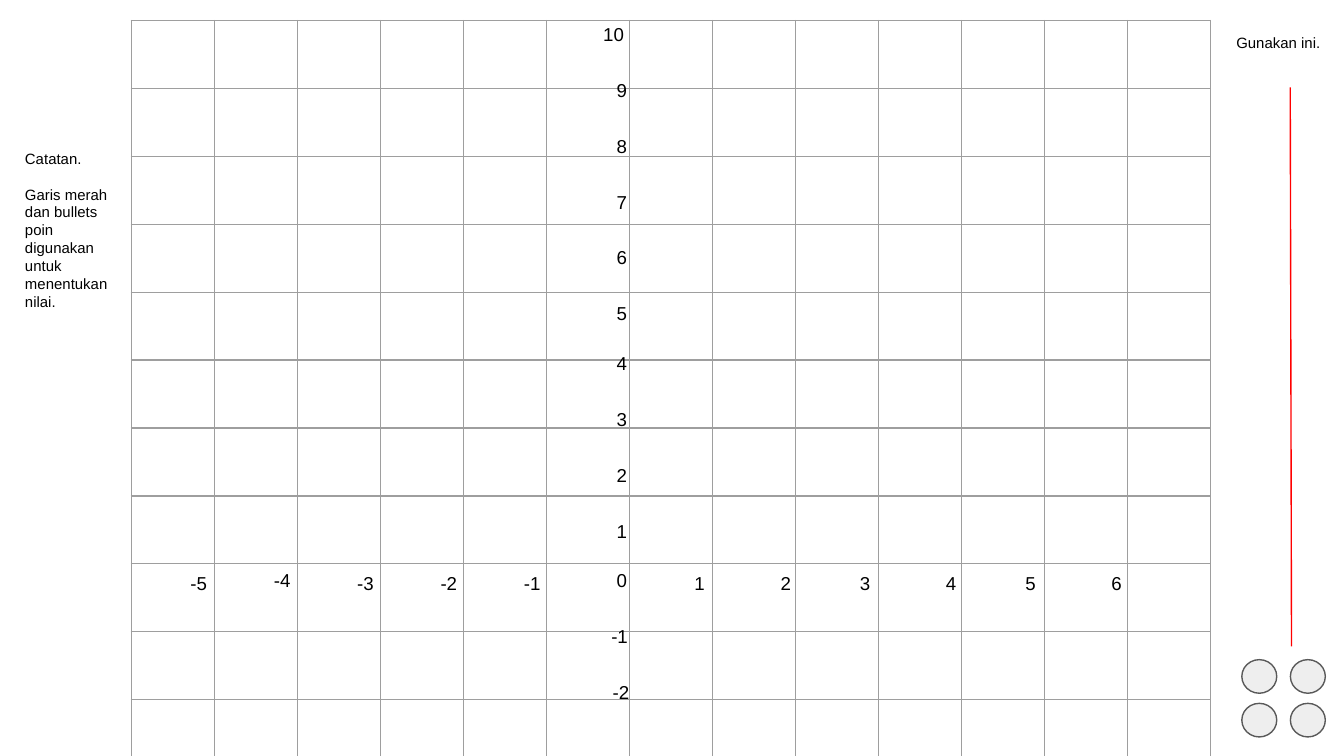
import dataclasses
import itertools

import lxml.etree
import pptx
import pptx.dml.color
import pptx.enum.shapes
import pptx.enum.text
import pptx.oxml.ns
import pptx.util

Pt = pptx.util.Pt
BLACK, GRID_GRAY, RED = "000000", "9E9E9E", "FF0000"
MARKER_FILL, MARKER_LINE = "EEEEEE", "595959"
GRID_SIZE = 13
COLUMN_WIDTH, ROW_HEIGHT = 44.5, 24
INSET = 7.2
LABEL_SIZE = 26.6
AXIS_TOP = 300.2


@dataclasses.dataclass
class Label:
    lines: list[str]
    left: float
    top: float
    width: float = LABEL_SIZE
    height: float = LABEL_SIZE
    size: float = 10
    grows: bool = True


def color(value: str) -> pptx.dml.color.RGBColor:
    return pptx.dml.color.RGBColor.from_string(value)


def apply_format(target, values: dict) -> None:
    for name, value in values.items():
        setattr(target, name, value)


def margins() -> dict:
    return {f"margin_{side}": Pt(INSET) for side in ("left", "right", "top", "bottom")}


def draw_label(page, label: Label) -> None:
    box = page.shapes.add_textbox(
        Pt(label.left), Pt(label.top), Pt(label.width), Pt(label.height)
    )
    frame = box.text_frame
    fit = pptx.enum.text.MSO_AUTO_SIZE
    auto_size = fit.SHAPE_TO_FIT_TEXT if label.grows else fit.NONE
    apply_format(frame, margins() | {"word_wrap": True, "auto_size": auto_size})
    for index, line in enumerate(label.lines):
        para = frame.add_paragraph() if index else frame.paragraphs[0]
        if index:
            para.space_before = Pt(9.5)
        span = para.add_run()
        span.text = line
        apply_format(span.font, {"name": "Arial", "size": Pt(label.size)})
        span.font.color.rgb = color(BLACK)


def format_cell(cell) -> None:
    apply_format(cell, margins())
    properties = cell._tc.get_or_add_tcPr()
    qualify = pptx.oxml.ns.qn
    for side in "LRTB":
        border = lxml.etree.SubElement(properties, qualify(f"a:ln{side}"), w=str(Pt(0.75)))
        fill = lxml.etree.SubElement(border, qualify("a:solidFill"))
        lxml.etree.SubElement(fill, qualify("a:srgbClr"), val=GRID_GRAY)
    cell.fill.background()


def draw_grid(page) -> None:
    grid = page.shapes.add_table(
        GRID_SIZE, GRID_SIZE, Pt(70.3), Pt(10.9),
        Pt(GRID_SIZE * COLUMN_WIDTH), Pt(GRID_SIZE * ROW_HEIGHT),
    ).table
    apply_format(grid, {"first_row": False, "horz_banding": False})
    for column in grid.columns:
        column.width = Pt(COLUMN_WIDTH)
    for row in grid.rows:
        row.height = Pt(ROW_HEIGHT)
    for cell in grid.iter_cells():
        format_cell(cell)


def vertical_label(value: int) -> Label:
    left = {10: 316.1, -1: 320.4, -2: 321.1}.get(value, 323.3)
    top = 6.3 + 29.9 * (10 - value) - 3.2 * (value <= 4) - 3.2 * (value <= 0)
    return Label([str(value)], left, top)


def horizontal_label(value: int) -> Label:
    if value < 0:
        left = 318.2 + 44.64 * value
    else:
        left = 320.7 + 44.3 * value + 1.8 * (value % 2 == 0)
    return Label([str(value)], left, 298.8 if value == -4 else AXIS_TOP)


def draw_marker(page, left: float, top: float) -> None:
    marker = page.shapes.add_shape(
        pptx.enum.shapes.MSO_SHAPE.OVAL, Pt(left), Pt(top), Pt(18.7), Pt(18)
    )
    marker.shadow.inherit = False
    marker.fill.solid()
    marker.fill.fore_color.rgb = color(MARKER_FILL)
    marker.line.color.rgb = color(MARKER_LINE)
    marker.line.width = Pt(0.75)


def draw_red_line(page) -> None:
    line = page.shapes.add_connector(
        pptx.enum.shapes.MSO_CONNECTOR.STRAIGHT, Pt(691.9), Pt(346.3), Pt(691.2), Pt(46.8)
    )
    line.line.color.rgb = color(RED)
    line.line.width = Pt(0.75)
    lxml.etree.SubElement(line._element.spPr, pptx.oxml.ns.qn("a:effectLst"))


def main() -> None:
    deck = pptx.Presentation()
    apply_format(deck, {"slide_width": Pt(720), "slide_height": Pt(405)})
    page = deck.slides.add_slide(deck.slide_layouts[6])

    draw_grid(page)
    for value in range(10, -3, -1):
        draw_label(page, vertical_label(value))
    for value in itertools.chain(range(-5, 0), range(1, 7)):
        draw_label(page, horizontal_label(value))

    note = [
        "Catatan.",
        "Garis merah dan bullets poin digunakan untuk menentukan nilai.",
    ]
    draw_label(page, Label(note, 6.3, 72.9, 61.2, 245.5, 8, False))
    for top, left in itertools.product((353.4, 376.8), (665.3, 691.3)):
        draw_marker(page, left, top)
    draw_red_line(page)
    draw_label(page, Label(["Gunakan ini."], 655.2, 10.8, 61.2, LABEL_SIZE, 8, False))

    deck.save("out.pptx")


main()
